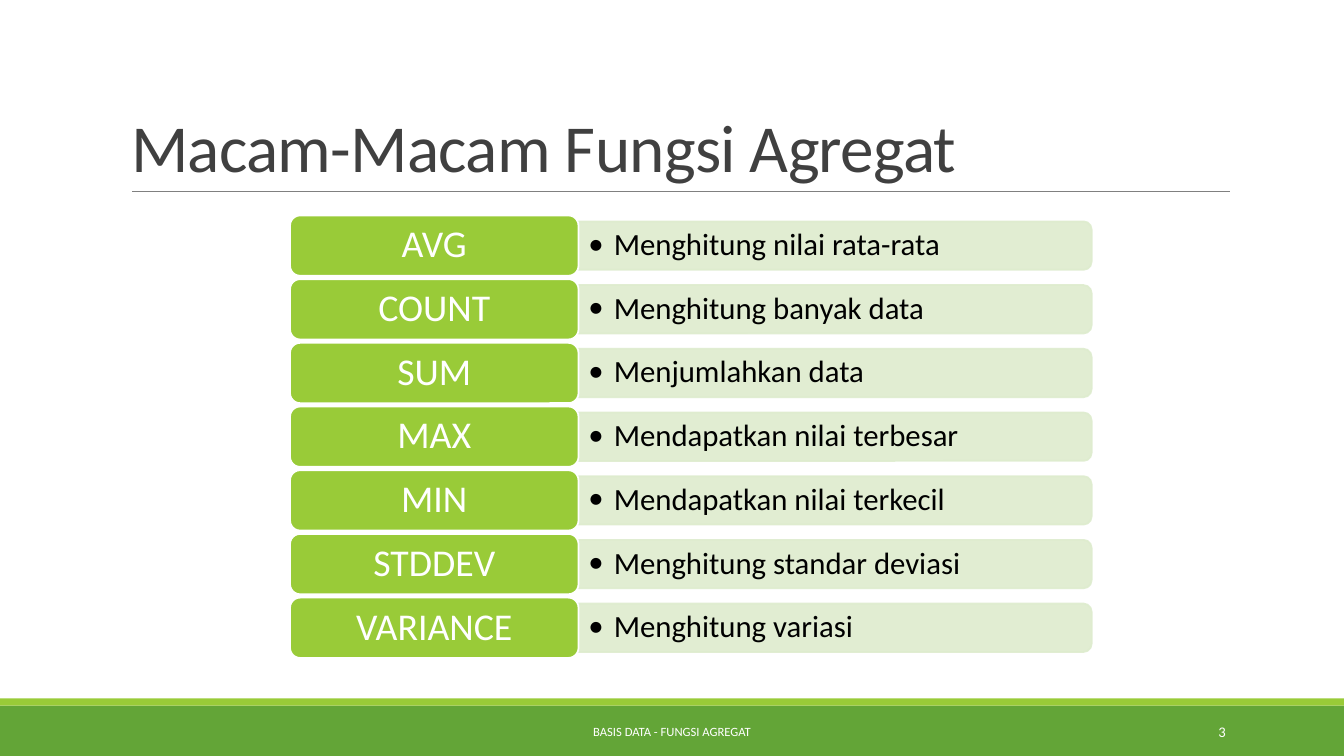
from dataclasses import dataclass

from lxml import etree
from pptx import Presentation
from pptx import util as u
from pptx.dml.color import RGBColor
from pptx.enum import shapes, text
from pptx.oxml import ns


@dataclass(frozen=True)
class Theme:
    font: str = "Calibri"
    green: str = "99CB38"
    dark_green: str = "63A537"
    pale_green: str = "DEECCE"
    white: str = "FFFFFF"
    black: str = "000000"
    title_grey: str = "404040"
    rule_grey: str = "808080"
    title_size: float = 48
    label_size: float = 27
    description_size: float = 22
    footer_size: float = 9
    number_size: float = 10.5


@dataclass(frozen=True)
class Box:
    """A rectangle in centimetres."""
    left: float
    top: float
    width: float
    height: float

    def lengths(self):
        return [u.Cm(value) for value in (self.left, self.top, self.width, self.height)]


THEME = Theme()
SLIDE = Box(0, 0, 33.87, 19.05)
FUNCTIONS = [
    ("AVG", "Menghitung nilai rata-rata"),
    ("COUNT", "Menghitung banyak data"),
    ("SUM", "Menjumlahkan data"),
    ("MAX", "Mendapatkan nilai terbesar"),
    ("MIN", "Mendapatkan nilai terkecil"),
    ("STDDEV", "Menghitung standar deviasi"),
    ("VARIANCE", "Menghitung variasi"),
]


def write(shape, words, size, color, align=text.PP_ALIGN.LEFT,
          anchor=text.MSO_ANCHOR.MIDDLE, spacing=1.0):
    """Set and format the only paragraph of a shape, and return it."""
    frame = shape.text_frame
    frame.text = words
    frame.word_wrap = True
    frame.auto_size = text.MSO_AUTO_SIZE.NONE
    frame.vertical_anchor = anchor
    paragraph = frame.paragraphs[0]
    paragraph.alignment = align
    paragraph.line_spacing = spacing
    font = paragraph.runs[0].font
    font.name = THEME.font
    font.size = u.Pt(size)
    font.color.rgb = RGBColor.from_string(color)
    return paragraph


def add_block(parent, kind, box, fill, line=None):
    shape = parent.shapes.add_shape(kind, *box.lengths())
    shape.shadow.inherit = False
    shape.fill.solid()
    shape.fill.fore_color.rgb = RGBColor.from_string(fill)
    if line:
        shape.line.color.rgb = RGBColor.from_string(line)
        shape.line.width = u.Pt(1.25)
    else:
        shape.line.fill.background()
    return shape


def make_translucent(shape, percent):
    """Apply one opacity to the fill and the outline."""
    for color in shape.element.spPr.iter(ns.qn("a:srgbClr")):
        etree.SubElement(color, ns.qn("a:alpha"), val=str(percent * 1000))


def add_bullet(paragraph, indent):
    properties = paragraph._p.get_or_add_pPr()
    properties.set("marL", str(u.Cm(indent)))
    properties.set("indent", str(-u.Cm(indent)))
    etree.SubElement(properties, ns.qn("a:buFont"), typeface=THEME.font)
    etree.SubElement(properties, ns.qn("a:buChar"), char="•")


def build_title(slide, box):
    title = slide.shapes.title
    title.left, title.top, title.width, title.height = box.lengths()
    paragraph = write(title, "Macam-Macam Fungsi Agregat", THEME.title_size,
                      THEME.title_grey, anchor=text.MSO_ANCHOR.BOTTOM, spacing=0.85)
    paragraph.runs[0].font._element.set("spc", "-50")

    bottom = u.Cm(box.top + box.height)
    rule = slide.shapes.add_connector(
        shapes.MSO_CONNECTOR.STRAIGHT,
        u.Cm(box.left + 0.28), bottom, u.Cm(box.left + box.width), bottom)
    rule.line.color.rgb = RGBColor.from_string(THEME.rule_grey)
    rule.line.width = u.Pt(0.5)
    etree.SubElement(rule.element.spPr, ns.qn("a:effectLst"))


def build_row(group, box, label, description):
    label_width, bar_height = 7.27, 1.22
    bar_left, bar_width = box.left + label_width, box.width - label_width

    # The bar stands upright and is turned so its rounded end faces right.
    upright = Box(bar_left + (bar_width - bar_height) / 2,
                  box.top + (box.height - bar_width) / 2, bar_height, bar_width)
    bar = add_block(group, shapes.MSO_SHAPE.ROUND_2_SAME_RECTANGLE, upright,
                    THEME.pale_green, THEME.pale_green)
    bar.rotation = 90
    make_translucent(bar, 90)

    inner = Box(bar_left, box.top + 0.2, bar_width, box.height - 0.4)
    caption = group.shapes.add_textbox(*inner.lengths())
    paragraph = write(caption, description, THEME.description_size, THEME.black, spacing=0.9)
    add_bullet(paragraph, 0.64)

    tile = add_block(group, shapes.MSO_SHAPE.ROUNDED_RECTANGLE,
                     Box(box.left, box.top, label_width, box.height),
                     THEME.green, THEME.white)
    write(tile, label, THEME.label_size, THEME.white, text.PP_ALIGN.CENTER, spacing=0.9)


def build_function_list(slide, box):
    group = slide.shapes.add_group_shape()
    row_height = 1.52
    pitch = (box.height - row_height) / (len(FUNCTIONS) - 1)
    for index, (label, description) in enumerate(FUNCTIONS):
        row = Box(box.left, box.top + index * pitch, box.width, row_height)
        build_row(group, row, label, description)


def build_footer(slide, box):
    stripe = 0.18
    add_block(slide, shapes.MSO_SHAPE.RECTANGLE,
              Box(box.left, box.top + stripe, box.width, box.height - stripe),
              THEME.dark_green)
    add_block(slide, shapes.MSO_SHAPE.RECTANGLE,
              Box(box.left, box.top, box.width, stripe), THEME.green)
    entries = [
        ("BASIS DATA - FUNGSI AGREGAT", 10.24, 13.39, THEME.footer_size, text.PP_ALIGN.CENTER),
        ("3", 27.51, 3.63, THEME.number_size, text.PP_ALIGN.RIGHT),
    ]
    for words, left, width, size, align in entries:
        place = Box(box.left + left, box.top + 0.33, width, 1.02)
        entry = slide.shapes.add_textbox(*place.lengths())
        write(entry, words, size, THEME.white, align)


def main():
    presentation = Presentation()
    presentation.slide_width = u.Cm(SLIDE.width)
    presentation.slide_height = u.Cm(SLIDE.height)
    slide = presentation.slides.add_slide(presentation.slide_layouts[5])
    build_footer(slide, Box(0, 17.6, SLIDE.width, SLIDE.height - 17.6))
    build_title(slide, Box(3.05, 0.79, 27.94, 4.04))
    build_function_list(slide, Box(7.31, 5.43, 20.2, 11.15))
    presentation.save("out.pptx")


if __name__ == "__main__":
    main()
